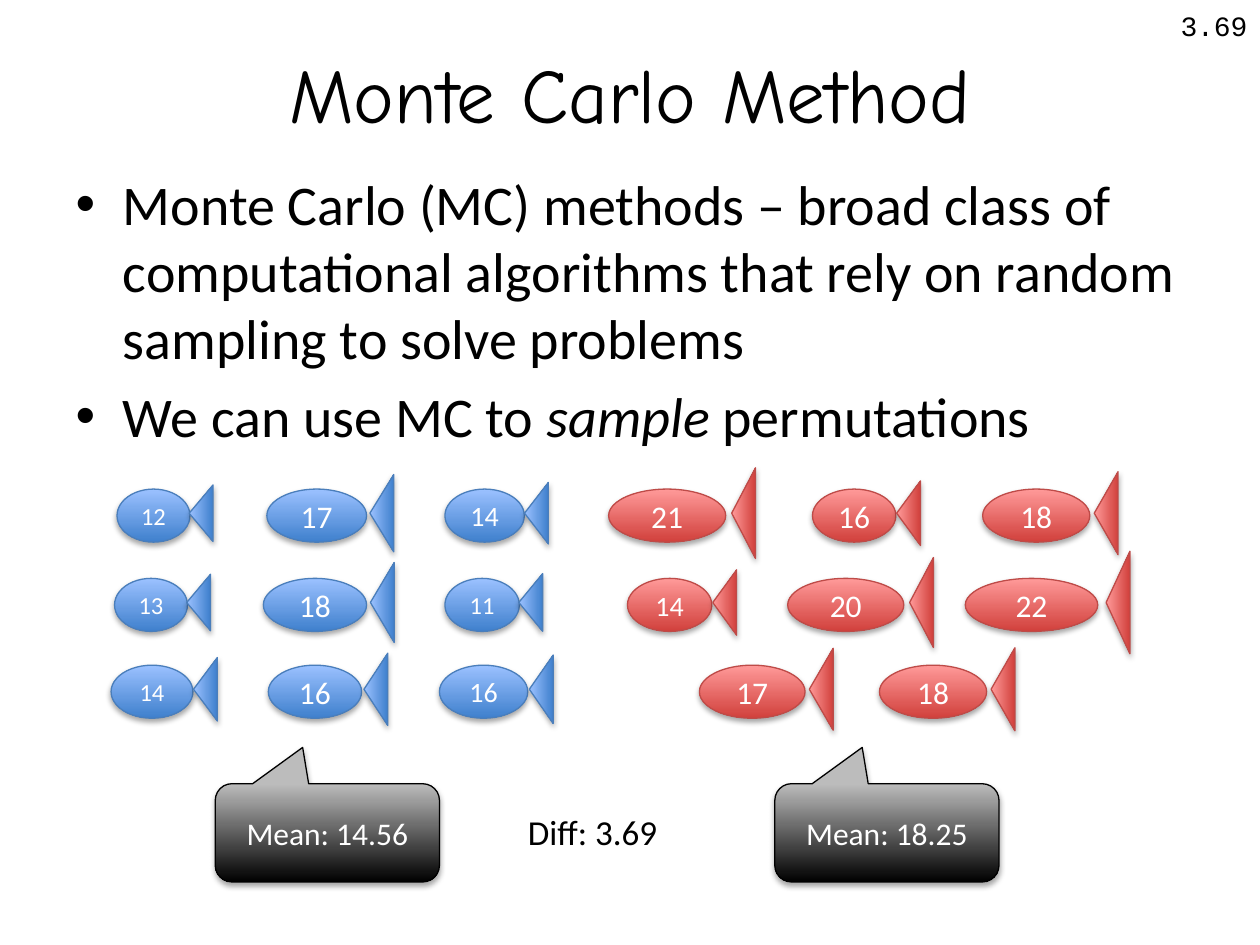
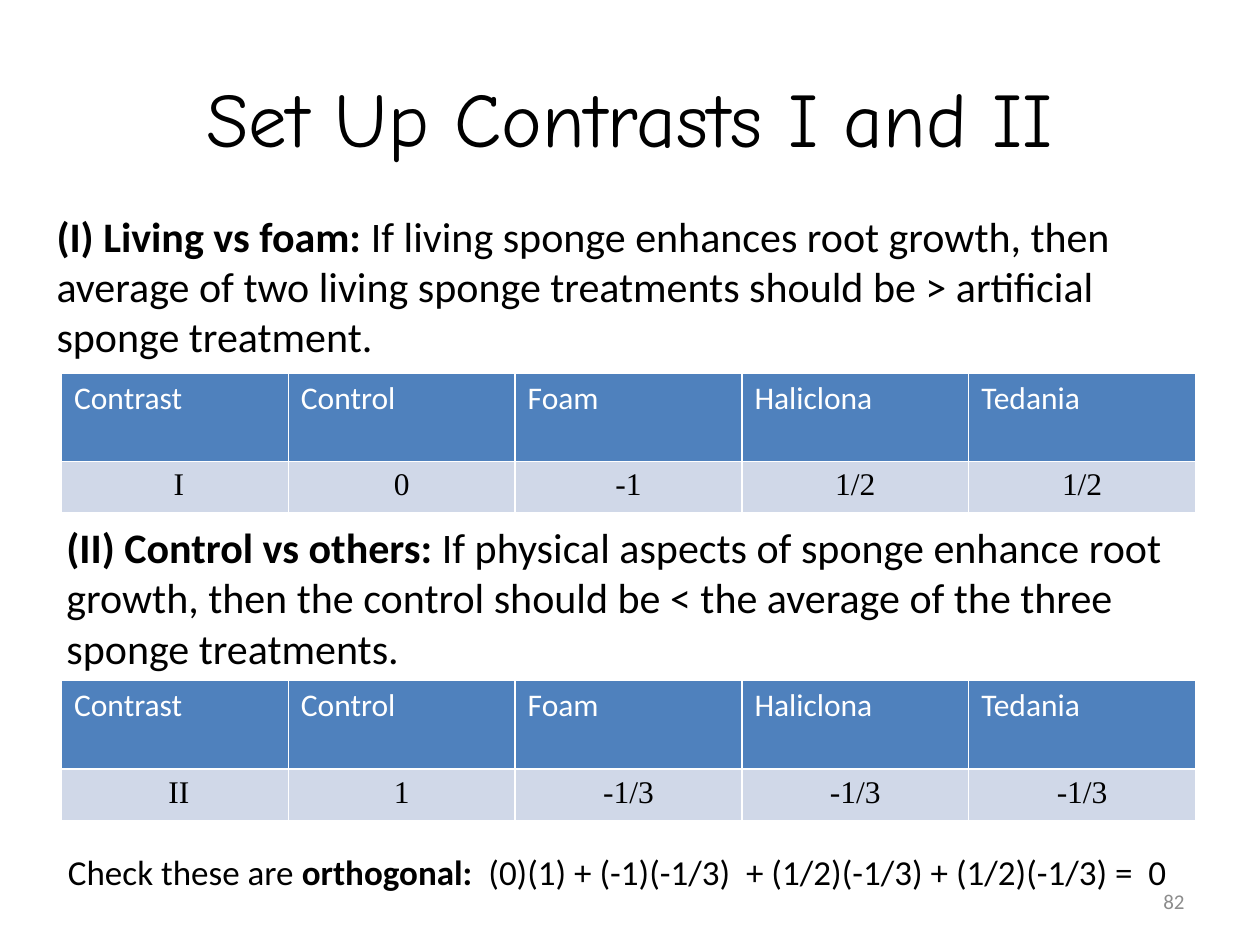
from lxml import etree
from pptx import Presentation
from pptx.dml.color import RGBColor
from pptx.enum.shapes import MSO_SHAPE
from pptx.enum.text import MSO_ANCHOR, MSO_AUTO_SIZE, PP_ALIGN
from pptx.oxml import parse_xml
from pptx.oxml.ns import nsdecls, qn
from pptx.util import Cm, Pt

LEFT, CENTER, RIGHT = PP_ALIGN.LEFT, PP_ALIGN.CENTER, PP_ALIGN.RIGHT
MIDDLE = MSO_ANCHOR.MIDDLE
GROW = MSO_AUTO_SIZE.SHAPE_TO_FIT_TEXT
OVAL, TRIANGLE = MSO_SHAPE.OVAL, MSO_SHAPE.ISOSCELES_TRIANGLE
CALLOUT = MSO_SHAPE.ROUNDED_RECTANGULAR_CALLOUT

BODY_FONT, TITLE_FONT = "Calibri", "Comic Neue"
MONO_FONT, NUMBER_FONT = "Courier New", "Times New Roman"

BLACK = RGBColor(0x00, 0x00, 0x00)
WHITE = RGBColor(0xFF, 0xFF, 0xFF)
GRAY = RGBColor(0x8C, 0x8C, 0x8C)
HEADER_BLUE = RGBColor(0x4F, 0x81, 0xBD)
ROW_BLUE = RGBColor(0xD0, 0xD8, 0xE8)
# Gradient start, gradient end, outline
BLUE = (RGBColor(0x9B, 0xC1, 0xFF), RGBColor(0x3F, 0x80, 0xCD), RGBColor(0x4A, 0x7E, 0xBB))
RED = (RGBColor(0xFF, 0x9A, 0x99), RGBColor(0xD1, 0x40, 0x3C), RGBColor(0xBE, 0x4B, 0x48))
DARK = (RGBColor(0xBC, 0xBC, 0xBC), BLACK, BLACK)

# Fish rows: (size label, left, body length, font size), lengths in cm
FISH_TOPS = (9.86, 11.66, 13.41)
FISH_HEIGHT = 1.07
TAIL_DEPTH = 0.48
BLUE_FISH = (
    (("12", 2.36, 1.47, 14), ("17", 5.38, 2.01, 18), ("14", 8.97, 1.6, 16)),
    (("13", 2.31, 1.47, 14), ("18", 5.31, 2.08, 18), ("11", 8.97, 1.5, 14)),
    (("14", 2.24, 1.65, 14), ("16", 5.41, 1.88, 18), ("16", 8.86, 1.78, 16)),
)
RED_FISH = (
    (("21", 12.27, 2.36, 18), ("16", 16.38, 1.68, 18), ("18", 19.81, 2.16, 18)),
    (("14", 12.65, 1.7, 16), ("20", 15.88, 2.34, 18), ("22", 19.46, 2.67, 18)),
    (("17", 14.1, 2.13, 18), ("18", 17.73, 2.16, 18)),
)

TREATMENTS = ("Contrast", "Control", "Foam", "Haliclona", "Tedania")


def add_run(p, text, size, color=BLACK, font=BODY_FONT, bold=False, italic=False):
    r = p.add_run()
    r.text = text
    f = r.font
    f.size, f.name, f.bold, f.italic = Pt(size), font, bold, italic
    f.color.rgb = color


def add_title(s, text, top):
    title = s.shapes.title
    title.left, title.top, title.width, title.height = Cm(1.27), Cm(top), Cm(22.86), Cm(3.18)
    tf = title.text_frame
    tf.vertical_anchor = MIDDLE
    p = tf.paragraphs[0]
    p.alignment = CENTER
    add_run(p, text, 44, font=TITLE_FONT)


def add_bullets(s, items):
    body = s.placeholders[1]
    body.left, body.top, body.width, body.height = Cm(1.27), Cm(3.28), Cm(22.86), Cm(12.57)
    tf = body.text_frame
    for i, runs in enumerate(items):
        p = tf.add_paragraph() if i else tf.paragraphs[0]
        for text, italic in runs:
            add_run(p, text, 32, italic=italic)


def add_text(s, box, runs, size, wrap=False, align=LEFT, color=BLACK, font=BODY_FONT):
    """Add a text box; runs holds (text, bold) pairs."""
    tb = s.shapes.add_textbox(*(Cm(v) for v in box))
    tf = tb.text_frame
    tf.word_wrap = wrap
    tf.auto_size = GROW
    p = tf.paragraphs[0]
    p.alignment = align
    for text, bold in runs:
        add_run(p, text, size, color, font, bold)
    return tb


def add_glossy_shape(shapes, kind, box, colors, text="", size=18):
    """Add a shape with a vertical gradient, thin outline and soft shadow."""
    sp = shapes.add_shape(kind, *(Cm(v) for v in box))
    sp.fill.gradient()
    sp.fill.gradient_angle = 270
    for stop, color in zip(sp.fill.gradient_stops, colors):
        stop.color.rgb = color
    sp.line.color.rgb = colors[2]
    sp.line.width = Pt(0.75)
    sp.shadow.inherit = False
    effects = sp._element.spPr.find(qn("a:effectLst"))
    effects.append(parse_xml(
        f'<a:outerShdw {nsdecls("a")} blurRad="40000" dist="23000" dir="5400000" '
        'rotWithShape="0"><a:srgbClr val="000000"><a:alpha val="35000"/>'
        '</a:srgbClr></a:outerShdw>'))
    if text:
        tf = sp.text_frame
        tf.word_wrap = False
        tf.vertical_anchor = MIDDLE
        p = tf.paragraphs[0]
        p.alignment = CENTER
        add_run(p, text, size, WHITE)
    return sp


def add_fish(s, label, left, top, length, size, colors):
    """Group an oval body with a tail whose span follows the body length."""
    shapes = s.shapes.add_group_shape().shapes
    add_glossy_shape(shapes, OVAL, (left, top, length, FISH_HEIGHT), colors, label, size)
    span = 0.775 * length
    center_x = left + 1.153 * length
    center_y = top + FISH_HEIGHT / 2 - 0.05
    box = (center_x - span / 2, center_y - TAIL_DEPTH / 2, span, TAIL_DEPTH)
    tail = add_glossy_shape(shapes, TRIANGLE, box, colors)
    tail.rotation = 270


def add_mean_callout(s, left, text):
    sp = add_glossy_shape(s.shapes, CALLOUT, (left, 15.8, 4.52, 1.98), DARK, text)
    for i, value in enumerate((-0.11, -0.87, 0.17)):
        sp.adjustments[i] = value


def set_borders(cell):
    tc_pr = cell._tc.get_or_add_tcPr()
    for side in ("lnL", "lnR", "lnT", "lnB"):
        ln = etree.SubElement(tc_pr, qn(f"a:{side}"), w=str(Pt(1)))
        fill = etree.SubElement(ln, qn("a:solidFill"))
        etree.SubElement(fill, qn("a:srgbClr"), val=str(WHITE))


def add_contrast_table(s, top, weights):
    frame = s.shapes.add_table(2, len(TREATMENTS), Cm(1.24), Cm(top), Cm(22.86), Cm(2.82))
    table = frame.table
    rows = (
        (TREATMENTS, 1.78, HEADER_BLUE, WHITE, BODY_FONT, LEFT),
        (weights, 1.04, ROW_BLUE, BLACK, NUMBER_FONT, CENTER),
    )
    for i, (texts, height, fill, color, font, align) in enumerate(rows):
        table.rows[i].height = Cm(height)
        for j, text in enumerate(texts):
            cell = table.cell(i, j)
            set_borders(cell)
            cell.fill.solid()
            cell.fill.fore_color.rgb = fill
            p = cell.text_frame.paragraphs[0]
            p.alignment = align
            add_run(p, text, 18, color, font)


def build_monte_carlo(prs):
    s = prs.slides.add_slide(prs.slide_layouts[1])
    add_title(s, "Monte Carlo Method", 0.28)
    add_bullets(s, (
        (("Monte Carlo (MC) methods – broad class of computational algorithms "
          "that rely on random sampling to solve problems", False),),
        (("We can use MC to ", False), ("sample", True), (" permutations", False)),
    ))
    # Two samples of fish
    for colors, school in ((BLUE, BLUE_FISH), (RED, RED_FISH)):
        for top, row in zip(FISH_TOPS, school):
            for label, left, length, size in row:
                add_fish(s, label, left, top, length, size, colors)
    # Means and their difference
    add_mean_callout(s, 4.34, "Mean: 14.56")
    add_mean_callout(s, 15.62, "Mean: 18.25")
    add_text(s, (10.39, 16.21, 3.15, 1.12), [("Diff: 3.69", False)], 20)
    add_text(s, (23.52, 0.05, 1.88, 0.94), [("3.69", False)], 16, align=RIGHT, font=MONO_FONT)


def build_contrasts(prs):
    s = prs.slides.add_slide(prs.slide_layouts[5])
    add_title(s, "Set Up Contrasts I and II", 0.76)
    # Each contrast: hypothesis and weights
    add_text(s, (0.89, 4.11, 22.81, 3.33), [
        ("(I) Living vs foam: ", True),
        ("If living sponge enhances root growth, then average of two living sponge "
         "treatments should be > artificial sponge treatment.", False)], 24, wrap=True)
    add_contrast_table(s, 7.52, (" I", "0", "-1", "1/2", "1/2"))
    add_text(s, (1.09, 10.39, 22.81, 3.33), [
        ("(II) Control vs others: ", True),
        ("If physical aspects of sponge enhance root growth, then the control should "
         "be < the average of the three sponge treatments.", False)], 24, wrap=True)
    add_contrast_table(s, 13.72, (" II", "1", "-1/3", "-1/3", "-1/3"))
    # Orthogonality check and page number
    add_text(s, (1.12, 17.02, 22.89, 1.12), [
        ("Check these are ", False), ("orthogonal: ", True),
        (" (0)(1) + (-1)(-1/3)  + (1/2)(-1/3) + (1/2)(-1/3) =  0", False)], 20)
    number = add_text(s, (18.21, 17.65, 5.92, 1.02), [("82", False)], 12,
                      wrap=True, align=RIGHT, color=GRAY)
    number.text_frame.auto_size = MSO_AUTO_SIZE.NONE
    number.text_frame.vertical_anchor = MIDDLE


def main():
    prs = Presentation()
    prs.slide_width, prs.slide_height = Cm(25.4), Cm(19.05)
    build_monte_carlo(prs)
    build_contrasts(prs)
    prs.save("out.pptx")


if __name__ == "__main__":
    main()
